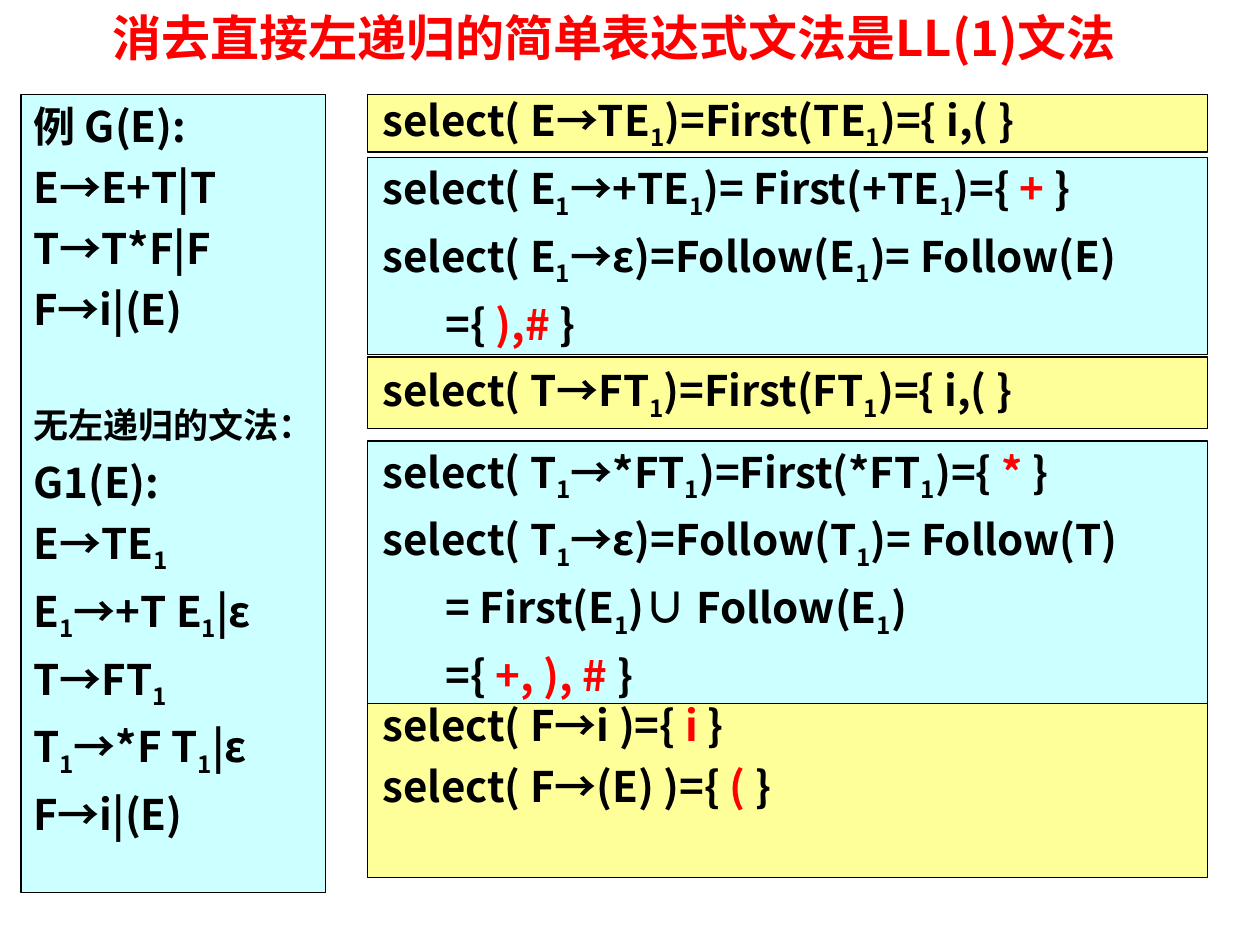
from lxml.etree import SubElement
from pptx import Presentation
from pptx.dml.color import RGBColor
from pptx.enum.shapes import MSO_SHAPE
from pptx.enum.text import MSO_ANCHOR, MSO_AUTO_SIZE, PP_ALIGN
from pptx.oxml.ns import qn
from pptx.util import Inches, Pt

COLORS = {"black": "000000", "red": "FF0000", "blue": "CCFFFF", "yellow": "FFFF99"}
FONT = "Noto Sans CJK SC"

deck = Presentation()
deck.slide_width, deck.slide_height = Inches(10), Inches(7.5)
page = deck.slides.add_slide(deck.slide_layouts[6])
CELL = deck.slide_width / 120  # the page is a grid of 120 columns by 90 rows


def add_panel(column, row, columns, rows, fill):
    panel = page.shapes.add_shape(
        MSO_SHAPE.RECTANGLE, *(round(n * CELL) for n in (column, row, columns, rows)))
    panel.shadow.inherit = False
    panel.fill.solid()
    panel.fill.fore_color.rgb = RGBColor.from_string(COLORS[fill])
    panel.line.color.rgb = RGBColor.from_string(COLORS["black"])
    panel.line.width = Pt(0.75)
    panel.text_frame.word_wrap = True
    panel.text_frame.vertical_anchor = MSO_ANCHOR.TOP
    return panel.text_frame


def write_line(para, line, size=24, color="black", align=PP_ALIGN.LEFT):
    """Write a line in which ~1~ is a subscript and any other ~part~ is red."""
    para.alignment = align
    for index, part in enumerate(line.split("~")):
        if not part:
            continue
        marked = index % 2 == 1
        span = para.add_run()
        span.text = part
        span.font.size, span.font.bold, span.font.name = Pt(size), True, FONT
        shade = "red" if marked and part != "1" else color
        span.font.color.rgb = RGBColor.from_string(COLORS[shade])
        properties = span.font._element
        SubElement(properties, qn("a:ea")).set("typeface", FONT)
        if marked and part == "1":
            properties.set("baseline", "-25000")


title = page.shapes.add_textbox(*(round(n * CELL) for n in (6, 0, 105, 7))).text_frame
title.word_wrap = True
title.vertical_anchor = MSO_ANCHOR.MIDDLE
write_line(title.paragraphs[0], "消去直接左递归的简单表达式文法是LL(1)文法", 28, "red", PP_ALIGN.CENTER)

# Grammar before and after removing left recursion: text, size, space before
grammar = [
    ("例 G(E):", 24, 0),
    ("E→E+T|T", 24, 6),
    ("T→T*F|F", 24, 6),
    ("F→i|(E)", 24, 6),
    ("无左递归的文法：", 20, 40),
    ("G1(E):", 24, 6),
    ("E→TE~1~", 24, 6),
    ("E~1~→+T E~1~|ε", 24, 6),
    ("T→FT~1~", 24, 6),
    ("T~1~→*F T~1~|ε", 24, 6),
    ("F→i|(E)", 24, 6),
]
frame = add_panel(2, 9, 29, 76, "blue")
for number, (line, size, space) in enumerate(grammar):
    para = frame.add_paragraph() if number else frame.paragraphs[0]
    para.space_before = Pt(space)
    write_line(para, line, size)

# Select sets from back to front: row, rows, vertical inset, fill, lines
select_sets = [
    (9, 5.5, 0, "yellow", ["select( E→TE~1~)=First(TE~1~)={ i,( }"]),
    (15, 18.75, 0.04, "blue", [
        "select( E~1~→+TE~1~)= First(+TE~1~)={ ~+~ }",
        "select( E~1~→ε)=Follow(E~1~)= Follow(E)",
        "\t={ ~),#~ }"]),
    (66, 17.6, 0.05, "yellow", ["select( F→i )={ ~i~ }", "select( F→(E) )={ ~(~ }"]),
    (34, 6.85, 0.06, "yellow", ["select( T→FT~1~)=First(FT~1~)={ i,( }"]),
    (42, 25, 0.04, "blue", [
        "select( T~1~→*FT~1~)=First(*FT~1~)={~ *~ }",
        "select( T~1~→ε)=Follow(T~1~)= Follow(T)",
        "\t= First(E~1~)∪ Follow(E~1~)",
        "\t={ ~+, ), #~ }"]),
]
for row, rows, inset, fill, lines in select_sets:
    frame = add_panel(35, row, 80, rows, fill)
    frame.auto_size = MSO_AUTO_SIZE.SHAPE_TO_FIT_TEXT
    frame.margin_left, frame.margin_right = Inches(0.12), 0
    frame.margin_top = frame.margin_bottom = Inches(inset)
    for number, line in enumerate(lines):
        para = frame.add_paragraph() if number else frame.paragraphs[0]
        para.space_before = Pt(6 if number else 0)
        write_line(para, line)

deck.save("out.pptx")
